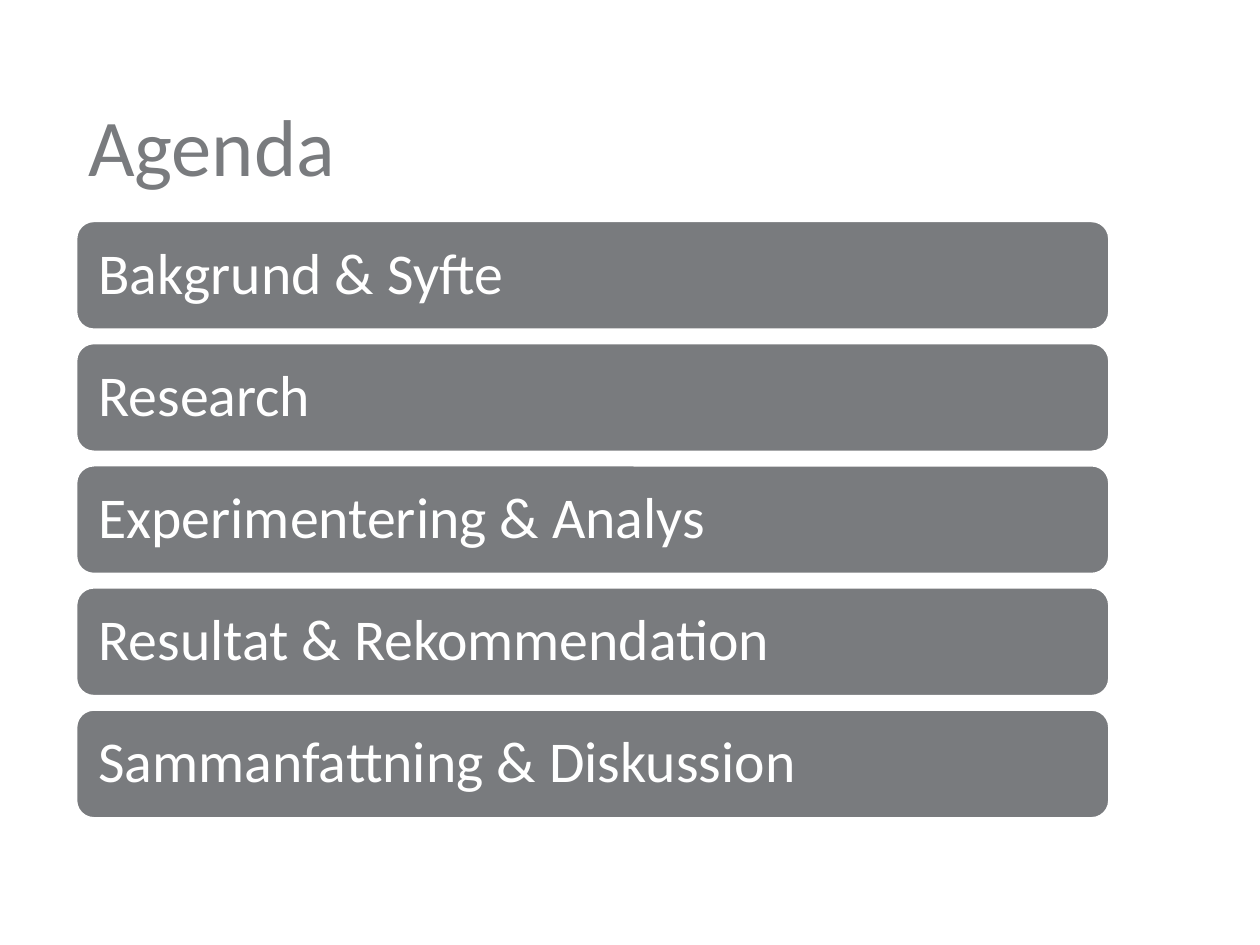
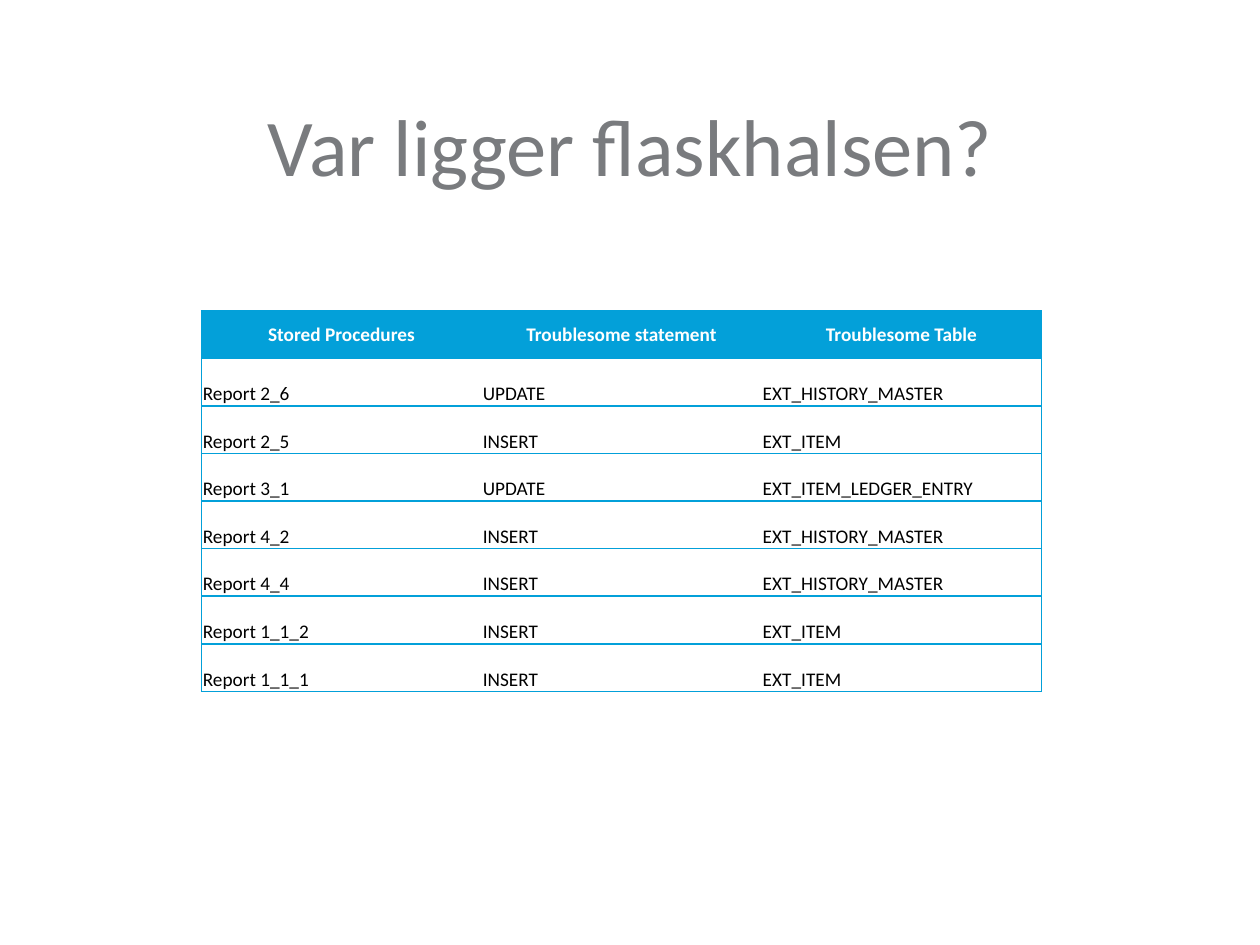
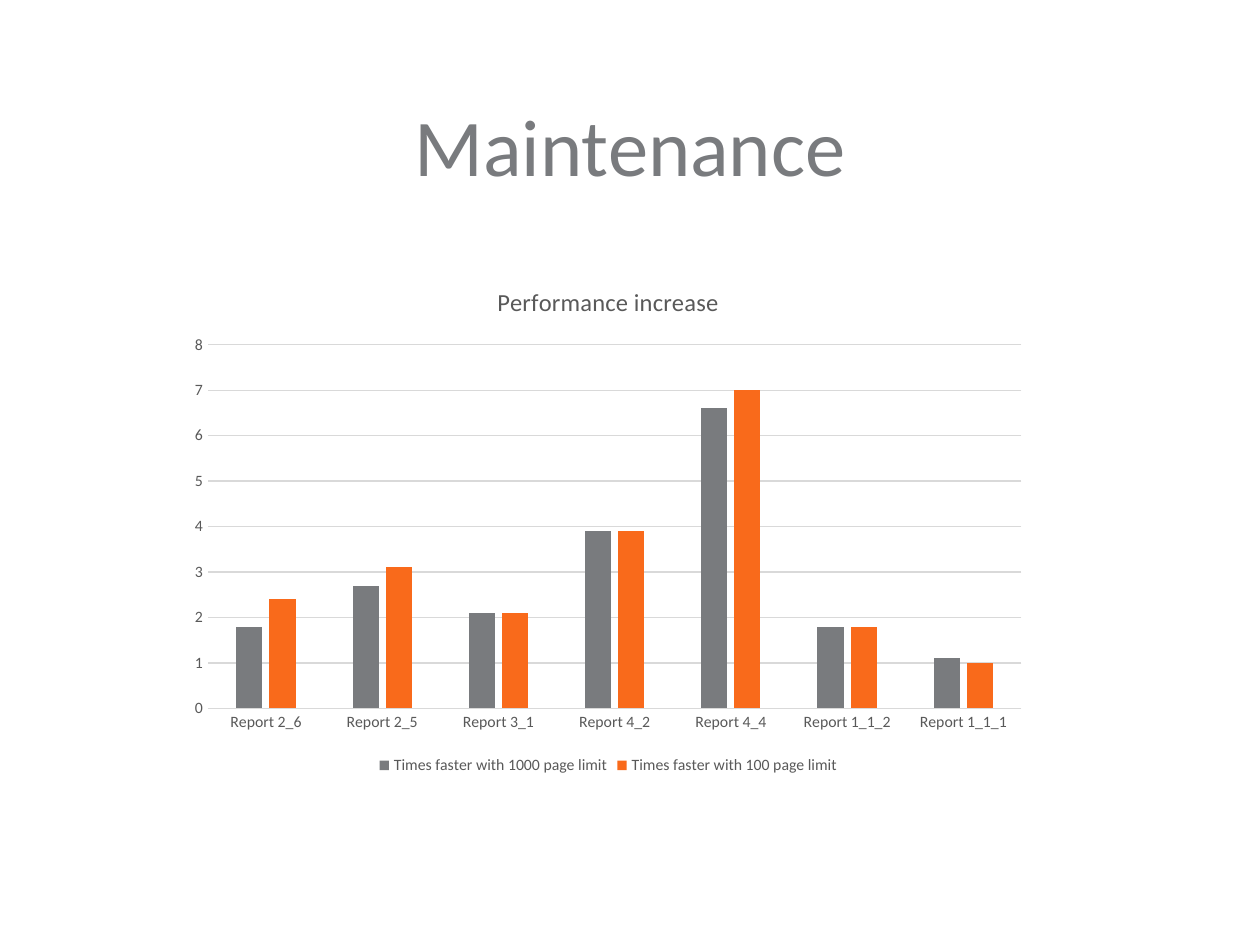
from dataclasses import dataclass

from lxml import etree
from pptx import Presentation
from pptx.chart.data import CategoryChartData
from pptx.dml.color import RGBColor
from pptx.enum.chart import XL_CHART_TYPE, XL_LEGEND_POSITION, XL_TICK_MARK
from pptx.enum.shapes import MSO_SHAPE
from pptx.enum.text import MSO_ANCHOR, MSO_AUTO_SIZE, PP_ALIGN
from pptx.oxml.ns import qn
from pptx.util import Pt

LEFT, CENTER = PP_ALIGN.LEFT, PP_ALIGN.CENTER
MIDDLE, BOTTOM = MSO_ANCHOR.MIDDLE, MSO_ANCHOR.BOTTOM
NO_AUTOFIT = MSO_AUTO_SIZE.NONE
ROUNDED = MSO_SHAPE.ROUNDED_RECTANGLE
COLUMNS = XL_CHART_TYPE.COLUMN_CLUSTERED
LEGEND_BELOW = XL_LEGEND_POSITION.BOTTOM
NO_TICKS = XL_TICK_MARK.NONE
TITLE_ONLY = 5


@dataclass(frozen=True)
class Theme:
    font: str = "Calibri"
    gray: RGBColor = RGBColor.from_string("797B7E")
    orange: RGBColor = RGBColor.from_string("F96A1B")
    blue: RGBColor = RGBColor.from_string("03A0D9")
    white: RGBColor = RGBColor.from_string("FFFFFF")
    black: RGBColor = RGBColor.from_string("000000")
    chart_text: RGBColor = RGBColor.from_string("595959")
    chart_line: RGBColor = RGBColor.from_string("D9D9D9")
    title_size: int = 46
    agenda_size: int = 33
    table_size: int = 11
    chart_title_size: int = 14
    chart_size: int = 9


def set_font(font, *, size, color, bold=False, name=Theme.font):
    font.name = name
    font.size = Pt(size)
    font.color.rgb = color
    font.bold = bold


def write(frame, text, *, align=LEFT, spacing=None, **font_format):
    """Fill a text frame with one formatted paragraph."""
    paragraph = frame.paragraphs[0]
    paragraph.alignment = align
    paragraph.line_spacing = spacing
    run = paragraph.add_run()
    run.text = text
    set_font(run.font, **font_format)


def set_border(cell, side, color=None):
    """Give one side of a cell a 1 pt line, or none without a colour."""
    properties = cell._tc.get_or_add_tcPr()
    line = etree.SubElement(properties, qn(f"a:ln{side}"), w=str(Pt(1)))
    if color is None:
        etree.SubElement(line, qn("a:noFill"))
    else:
        fill = etree.SubElement(line, qn("a:solidFill"))
        etree.SubElement(fill, qn("a:srgbClr"), val=str(color))


class Deck:
    """Holds the theme and the current slide."""

    def __init__(self, theme):
        self.theme = theme
        self.presentation = Presentation()
        self.presentation.slide_width = Pt(720)
        self.presentation.slide_height = Pt(540)
        self.slide = None

    def new_slide(self, heading, align=CENTER):
        layout = self.presentation.slide_layouts[TITLE_ONLY]
        self.slide = self.presentation.slides.add_slide(layout)
        title = self.slide.shapes.title
        title.left, title.top = Pt(43.2), Pt(8.6)
        title.width, title.height = Pt(633.6), Pt(105)
        frame = title.text_frame
        frame.auto_size = NO_AUTOFIT
        frame.vertical_anchor = BOTTOM
        write(frame, heading, align=align,
              size=self.theme.title_size, color=self.theme.gray)

    def bar(self, text, left, top, width, height):
        theme = self.theme
        bar = self.slide.shapes.add_shape(
            ROUNDED, Pt(left), Pt(top), Pt(width), Pt(height))
        bar.shadow.inherit = False
        bar.fill.solid()
        bar.fill.fore_color.rgb = theme.gray
        bar.line.color.rgb = theme.white
        bar.line.width = Pt(2)
        frame = bar.text_frame
        frame.word_wrap = True
        frame.vertical_anchor = MIDDLE
        frame.margin_left = frame.margin_right = Pt(10)
        frame.margin_top = frame.margin_bottom = Pt(10)
        write(frame, text, spacing=0.9,
              size=theme.agenda_size, color=theme.white)

    def table(self, rows, left, top, width, row_height):
        columns = len(rows[0])
        table = self.slide.shapes.add_table(
            len(rows), columns, Pt(left), Pt(top),
            Pt(width), Pt(row_height * len(rows))).table
        table.horz_banding = False
        for row_index, row in enumerate(rows):
            for column_index, text in enumerate(row):
                self.cell(table.cell(row_index, column_index), text,
                          is_header=row_index == 0,
                          is_first=column_index == 0,
                          is_last=column_index == columns - 1)

    def cell(self, cell, text, *, is_header, is_first, is_last):
        theme = self.theme
        cell.margin_left = cell.margin_right = cell.margin_top = Pt(0.7)
        cell.margin_bottom = 0
        cell.vertical_anchor = MIDDLE if is_header else BOTTOM
        write(cell.text_frame, text, align=CENTER if is_header else LEFT,
              size=theme.table_size, bold=is_header,
              color=theme.white if is_header else theme.black)
        # Lines run around the table and between rows, not between columns
        set_border(cell, "L", theme.blue if is_first else None)
        set_border(cell, "R", theme.blue if is_last else None)
        set_border(cell, "T", theme.blue)
        set_border(cell, "B", theme.blue)
        cell.fill.solid()
        cell.fill.fore_color.rgb = theme.blue if is_header else theme.white

    def column_chart(self, heading, categories, series, left, top, width, height):
        theme = self.theme
        data = CategoryChartData()
        data.categories = categories
        for name, values, _ in series:
            data.add_series(name, values)
        chart = self.slide.shapes.add_chart(
            COLUMNS, Pt(left), Pt(top), Pt(width), Pt(height), data).chart
        small = dict(size=theme.chart_size, color=theme.chart_text)
        set_font(chart.font, **small)

        chart.has_title = True
        write(chart.chart_title.text_frame, heading, align=CENTER,
              size=theme.chart_title_size, color=theme.chart_text)
        chart.chart_title.include_in_layout = False

        chart.has_legend = True
        chart.legend.position = LEGEND_BELOW
        chart.legend.include_in_layout = False
        set_font(chart.legend.font, **small)

        # Columns
        plot = chart.plots[0]
        plot.gap_width = 219
        plot.overlap = -27
        plot.vary_by_categories = False
        for columns, (_, _, color) in zip(plot.series, series):
            columns.format.fill.solid()
            columns.format.fill.fore_color.rgb = color

        # Axes
        for axis in (chart.category_axis, chart.value_axis):
            axis.major_tick_mark = axis.minor_tick_mark = NO_TICKS
            set_font(axis.tick_labels.font, **small)
        value_axis = chart.value_axis
        value_axis.minimum_scale, value_axis.maximum_scale = 0, 8
        value_axis.major_unit = 1
        value_axis.tick_labels.number_format = "0"
        value_axis.tick_labels.number_format_is_linked = False
        value_axis.format.line.fill.background()
        for line in (chart.category_axis.format.line,
                     value_axis.major_gridlines.format.line):
            line.color.rgb = theme.chart_line
            line.width = Pt(0.75)


AGENDA = ["Bakgrund & Syfte", "Research", "Experimentering & Analys",
          "Resultat & Rekommendation", "Sammanfattning & Diskussion"]

BOTTLENECKS = [
    ("Report 2_6", "UPDATE", "EXT_HISTORY_MASTER"),
    ("Report 2_5", "INSERT", "EXT_ITEM"),
    ("Report 3_1", "UPDATE", "EXT_ITEM_LEDGER_ENTRY"),
    ("Report 4_2", "INSERT", "EXT_HISTORY_MASTER"),
    ("Report 4_4", "INSERT", "EXT_HISTORY_MASTER"),
    ("Report 1_1_2", "INSERT", "EXT_ITEM"),
    ("Report 1_1_1", "INSERT", "EXT_ITEM"),
]


def main():
    theme = Theme()
    deck = Deck(theme)

    # Agenda
    deck.new_slide("Agenda", align=LEFT)
    for index, topic in enumerate(AGENDA):
        deck.bar(topic, 43.2, 126 + index * 69.8, 591, 62.7)

    # Bottlenecks
    deck.new_slide("Var ligger flaskhalsen?")
    header = ("Stored Procedures", "Troublesome statement", "Troublesome Table")
    deck.table([header, *BOTTLENECKS], 115.2, 177.6, 480, 27.2)

    # Maintenance
    deck.new_slide("Maintenance")
    reports = [report for report, _, _ in BOTTLENECKS]
    speedups = [
        ("Times faster with 1000 page limit",
         (1.8, 2.7, 2.1, 3.9, 6.6, 1.8, 1.1), theme.gray),
        ("Times faster with 100 page limit",
         (2.4, 3.1, 2.1, 3.9, 7, 1.8, 1), theme.orange),
    ]
    deck.column_chart("Performance increase", reports, speedups,
                      101.5, 150.5, 492, 295)

    deck.presentation.save("out.pptx")


if __name__ == "__main__":
    main()
